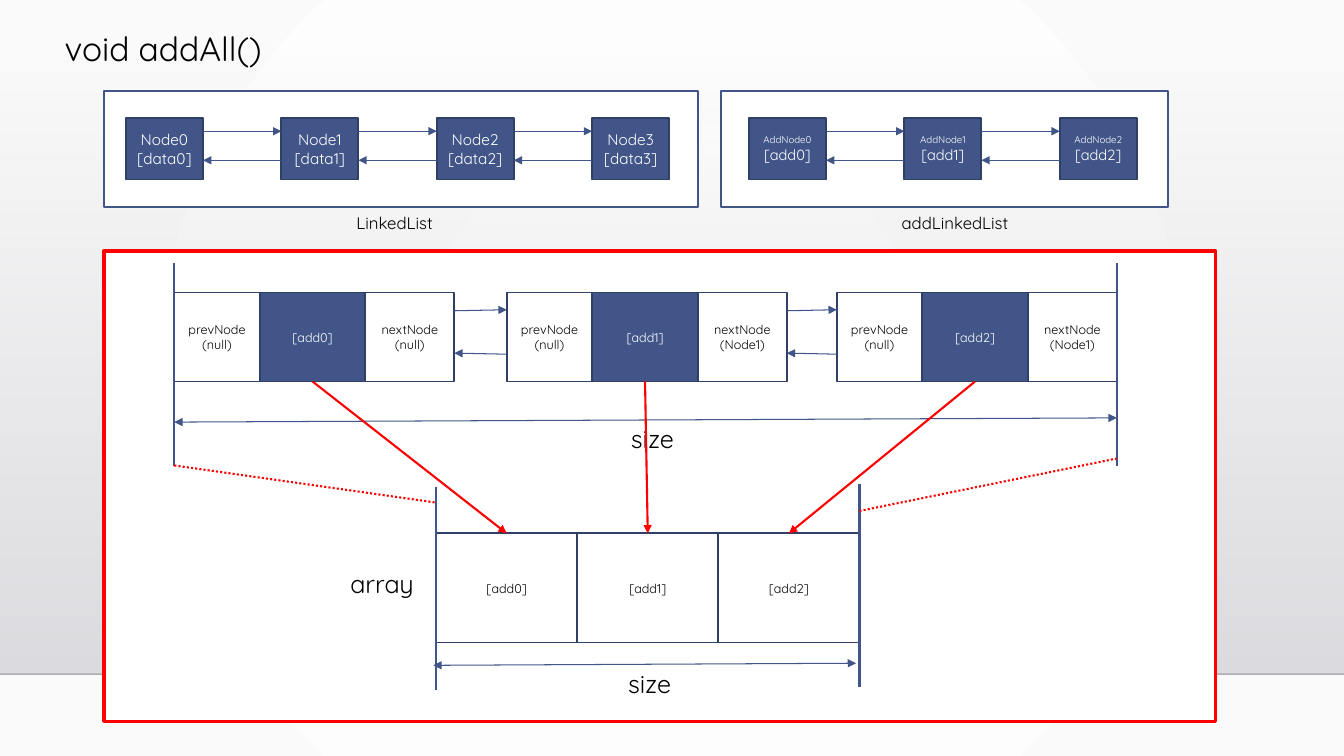
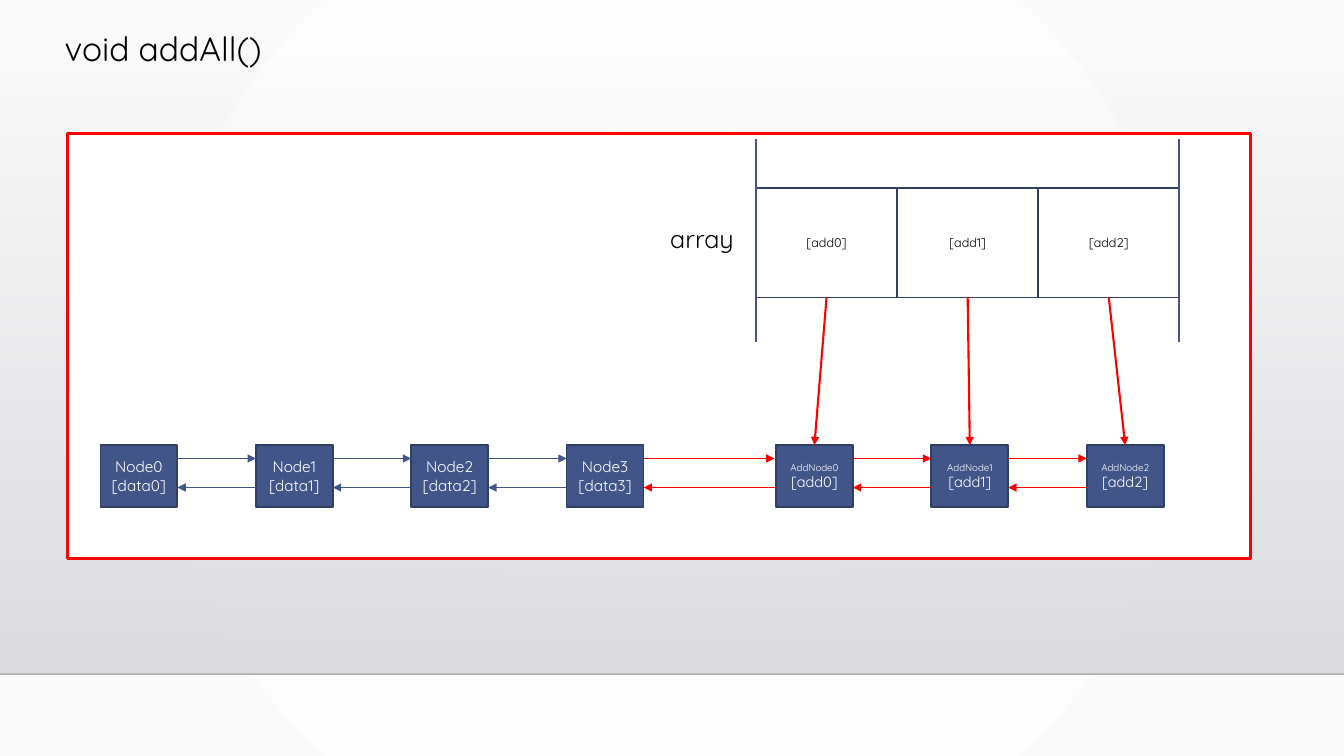
from itertools import pairwise

from lxml.etree import SubElement
from pptx import Presentation
from pptx.dml.color import RGBColor
from pptx.enum.dml import MSO_LINE
from pptx.enum.shapes import MSO_CONNECTOR, MSO_SHAPE
from pptx.enum.text import MSO_ANCHOR, PP_ALIGN
from pptx.oxml.ns import qn
from pptx.util import Pt

FONT = "Quicksand"
COLORS = {
    "blue": "415588", "navy": "303F65", "red": "FF0000", "white": "FFFFFF",
    "black": "000000", "paper": "FAFAFA", "band_top": "DCDCE0",
    "band_bottom": "DEDEE2", "rule": "000001",
}
SLIDE_W, SLIDE_H = 960, 540
NODE_W, NODE_H, NODE_PITCH = 55, 44, 111
NEXT_DY, PREV_DY = 9.5, 30.25
CELL_W, CELL_H = 100.8, 78
PREV_W, DATA_W, NEXT_W, RECORD_H = 61, 75.5, 63.5, 63.5
RECORD_W = PREV_W + DATA_W + NEXT_W
RAIL_H = 145
LIST_NODES = [(f"Node{i}", f"[data{i}]") for i in range(4)]
ADD_NODES = [(f"AddNode{i}", f"[add{i}]") for i in range(3)]
ADD_DATA = [data for _, data in ADD_NODES]


def rgb(name):
    return RGBColor.from_string(COLORS[name])


def set_alpha(color_el, percent):
    SubElement(color_el, qn("a:alpha")).set("val", str(percent * 1000))


def set_gradient(fill, first, last):
    fill.gradient()
    for stop, name, position in zip(fill.gradient_stops, (first, last), (0, 1)):
        stop.color.rgb = rgb(name)
        stop.position = position


def write_lines(tf, lines, color, align):
    for i, (text, size) in enumerate(lines):
        p = tf.paragraphs[0] if i == 0 else tf.add_paragraph()
        p.alignment = align
        r = p.add_run()
        r.text = text
        r.font.size = Pt(size)
        r.font.name = FONT
        r.font.color.rgb = rgb(color)


def add_label(s, x, y, w, h, text, size):
    tf = s.shapes.add_textbox(Pt(x), Pt(y), Pt(w), Pt(h)).text_frame
    tf.word_wrap = True
    write_lines(tf, [(text, size)], "black", PP_ALIGN.LEFT)


def add_box(s, x, y, w, h, fill="white", line="navy", weight=1.25, lines=()):
    sp = s.shapes.add_shape(MSO_SHAPE.RECTANGLE, Pt(x), Pt(y), Pt(w), Pt(h))
    sp.shadow.inherit = False
    sp.fill.solid()
    sp.fill.fore_color.rgb = rgb(fill)
    sp.line.color.rgb = rgb(line)
    sp.line.width = Pt(weight)
    sp.text_frame.vertical_anchor = MSO_ANCHOR.MIDDLE
    sp.text_frame.word_wrap = True
    text_color = "black" if fill == "white" else "white"
    write_lines(sp.text_frame, lines, text_color, PP_ALIGN.CENTER)


def add_line(s, start, end, color="blue", weight=0.75, ends=(), dash=None):
    cx = s.shapes.add_connector(
        MSO_CONNECTOR.STRAIGHT, *(Pt(v) for v in (*start, *end)))
    cx.line.color.rgb = rgb(color)
    cx.line.width = Pt(weight)
    if dash:
        cx.line.dash_style = dash
    ln = cx.line._get_or_add_ln()
    for end_name in ends:
        SubElement(ln, qn(f"a:{end_name}")).set("type", "triangle")
    SubElement(cx._element.spPr, qn("a:effectLst"))
    return cx


def add_arrow(s, start, end, color="blue", weight=0.75):
    add_line(s, start, end, color, weight, ["tailEnd"])


def add_measure(s, start, end):
    add_line(s, start, end, ends=["headEnd", "tailEnd"])


def add_links(s, left, right, y, color="blue"):
    add_arrow(s, (left, y + NEXT_DY), (right, y + NEXT_DY), color)
    add_arrow(s, (right, y + PREV_DY), (left, y + PREV_DY), color)


def add_chain(s, x, y, nodes, sizes, link_color="blue"):
    lefts = [x + i * NODE_PITCH for i in range(len(nodes))]
    for left, texts in zip(lefts, nodes):
        add_box(s, left, y, NODE_W, NODE_H, "blue", lines=list(zip(texts, sizes)))
    for left, right in pairwise(lefts):
        add_links(s, left + NODE_W, right, y, link_color)
    return [left + NODE_W / 2 for left in lefts]


def add_record(s, x, y, data, next_node):
    add_box(s, x + PREV_W, y, DATA_W, RECORD_H, "blue", lines=[(data, 9)])
    add_box(s, x, y, PREV_W, RECORD_H, lines=[("prevNode", 9), ("(null)", 9)])
    add_box(s, x + PREV_W + DATA_W, y, NEXT_W, RECORD_H,
            lines=[("nextNode", 9), (next_node, 9)])
    return x + PREV_W + DATA_W / 2


def add_rail(s, x, top):
    add_line(s, (x, top), (x, top + RAIL_H), weight=1.5)


def add_array(s, x, y, left_rise=35):
    lefts = [x + i * CELL_W for i in range(len(ADD_DATA))]
    for left, data in zip(lefts, ADD_DATA):
        add_box(s, left, y, CELL_W, CELL_H, lines=[(data, 9)])
    add_rail(s, x, y - left_rise)
    add_rail(s, x + len(lefts) * CELL_W, y - 35)
    add_label(s, x - 68.4, y + 21.25, 62, 29, "array", 18)
    return [left + CELL_W / 2 for left in lefts]


def add_copy_arrows(s, sources, source_y, targets, target_y):
    for source, target in zip(sources, targets):
        add_arrow(s, (source, source_y), (target, target_y), "red", 1.5)


def add_backdrop(s):
    set_gradient(s.background.fill, "white", "paper")
    grad = next(s._element.iter(qn("a:gradFill")))
    grad.remove(grad.find(qn("a:lin")))
    circle = SubElement(grad, qn("a:path"), {"path": "circle"})
    SubElement(circle, qn("a:fillToRect"), dict.fromkeys("ltrb", "50000"))

    band = s.shapes.add_shape(
        MSO_SHAPE.RECTANGLE, 0, Pt(36.5), Pt(SLIDE_W), Pt(445))
    band.shadow.inherit = False
    band.line.fill.background()
    set_gradient(band.fill, "band_top", "band_bottom")
    band.fill.gradient_angle = 270
    set_alpha(next(band._element.iter(qn("a:srgbClr"))), 0)

    rule = add_line(s, (0, 481.5), (SLIDE_W, 481.5), "rule", 1)
    set_alpha(next(rule._element.iter(qn("a:srgbClr"))), 20)


def add_base_slide(prs, title):
    s = prs.slides.add_slide(prs.slide_layouts[6])
    add_backdrop(s)
    add_label(s, 39, 16.5, 433, 36, title, 24)
    return s


def build_to_array(prs):
    s = add_base_slide(prs, "void addAll()")
    add_box(s, 74.25, 179.25, 794, 336, line="red", weight=2.25)
    add_box(s, 515, 65, 319.5, 83, line="blue", weight=1.5)
    add_box(s, 74.25, 65, 424.5, 83, line="blue", weight=1.5)
    add_chain(s, 90, 84.25, LIST_NODES, (11, 11))
    add_chain(s, 535, 84.25, ADD_NODES, (7, 10.5))
    add_label(s, 247.5, 148.5, 73, 22, "LinkedList", 12)
    add_label(s, 637, 148.5, 100, 22, "addLinkedList", 12)

    record_y = 209
    record_lefts = (124.5, 362, 597.75)
    next_nodes = ("(null)", "(Node1)", "(Node1)")
    sources = [add_record(s, x, record_y, data, next_node)
               for x, data, next_node in zip(record_lefts, ADD_DATA, next_nodes)]
    for left, right in pairwise(record_lefts):
        edge = left + RECORD_W
        add_arrow(s, (edge, 222), (right, 221.25))
        add_arrow(s, (right, 253), (edge, 252.25))

    first, last = record_lefts[0], record_lefts[-1] + RECORD_W
    for x in (first, last):
        add_rail(s, x, 188)
    add_measure(s, (first, 301.5), (last, 298.5))
    add_label(s, 443.5, 298.75, 57, 29, "size", 18)

    array_x, array_y = 311.5, 381
    array_right = array_x + len(ADD_DATA) * CELL_W
    targets = add_array(s, array_x, array_y, 33)
    for start, end in (((first, 332.5), (array_x, 359)),
                       ((array_right, 365), (last, 327.5))):
        add_line(s, start, end, "red", 1.5, dash=MSO_LINE.ROUND_DOT)
    add_measure(s, (309.5, 475.25), (611.5, 473.75))
    add_label(s, 441.5, 473.75, 57, 29, "size", 18)
    add_copy_arrows(s, sources, record_y + RECORD_H, targets, array_y)


def build_to_list(prs):
    s = add_base_slide(prs, "void addAll()")
    add_box(s, 48, 95.25, 845.5, 303.5, line="red", weight=2.25)
    array_y, chain_y = 134.5, 318
    list_x, added_x = 71.75, 554.25
    sources = add_array(s, 540, array_y)
    centers = add_chain(s, list_x, chain_y, LIST_NODES, (11, 11))
    targets = add_chain(s, added_x, chain_y, ADD_NODES, (7, 10.5), "red")
    add_copy_arrows(s, sources, array_y + CELL_H, targets, chain_y)
    add_links(s, centers[-1] + NODE_W / 2, added_x - 1, chain_y, "red")


def main():
    prs = Presentation()
    prs.slide_width, prs.slide_height = Pt(SLIDE_W), Pt(SLIDE_H)
    build_to_array(prs)
    build_to_list(prs)
    prs.save("out.pptx")


main()
